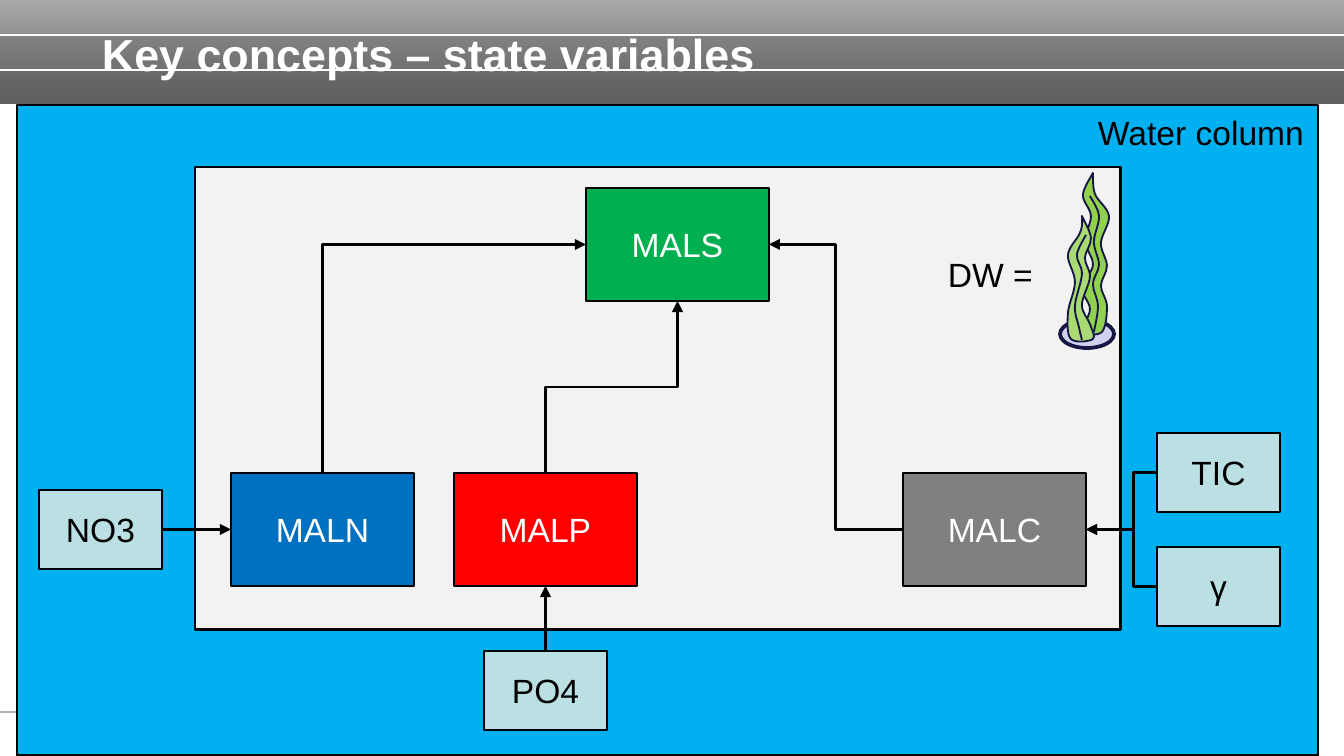
from dataclasses import dataclass

from lxml import etree
from pptx import Presentation
from pptx.dml.color import RGBColor
from pptx.enum.shapes import MSO_CONNECTOR, MSO_SHAPE
from pptx.enum.text import MSO_ANCHOR, PP_ALIGN
from pptx.oxml.ns import qn
from pptx.util import Emu, Pt

RECT, OVAL = MSO_SHAPE.RECTANGLE, MSO_SHAPE.OVAL
STRAIGHT, ELBOW = MSO_CONNECTOR.STRAIGHT, MSO_CONNECTOR.ELBOW
TOP, MIDDLE = MSO_ANCHOR.TOP, MSO_ANCHOR.MIDDLE
LEFT, CENTER, RIGHT = PP_ALIGN.LEFT, PP_ALIGN.CENTER, PP_ALIGN.RIGHT
N, W, S, E = range(4)  # connection sites of a rectangle
PX = 914400 / 134.4


@dataclass(frozen=True)
class Theme:
    font: str = "Arial"
    title: int = 24
    body: int = 18
    white: str = "FFFFFF"
    black: str = "000000"
    light: str = "B2B2B2"
    dark: str = "5F5F5F"
    water: str = "00B0F0"
    plant: str = "F2F2F2"
    nutrient: str = "BBE0E3"
    nitrogen: str = "0070C0"
    phosphorus: str = "FF0000"
    carbon: str = "808080"
    structure: str = "00B050"
    back_leaf: str = "92D050"
    front_leaf: str = "A9DA74"
    base: str = "D1D1F0"
    ink: str = "171745"


T = Theme()


def emu(px):
    return Emu(round(px * PX))


def rgb(value):
    return RGBColor.from_string(value)


def write(sp, text, size=T.body, color=T.black, bold=False, align=CENTER,
          anchor=MIDDLE, insets=(0, 0, 0, 0)):
    tf = sp.text_frame
    tf.word_wrap = True
    tf.vertical_anchor = anchor
    tf.margin_left, tf.margin_top, tf.margin_right, tf.margin_bottom = map(emu, insets)
    p = tf.paragraphs[0]
    p.alignment = align
    r = p.add_run()
    r.text = text
    r.font.name, r.font.size, r.font.bold = T.font, Pt(size), bold
    r.font.color.rgb = rgb(color)


def paint(sp, fill=None, line=None, width=1.5):
    sp.shadow.inherit = False
    if fill:
        sp.fill.solid()
        sp.fill.fore_color.rgb = rgb(fill)
    else:
        sp.fill.background()
    if line:
        sp.line.color.rgb = rgb(line)
        sp.line.width = Pt(width)
    else:
        sp.line.fill.background()


def add_box(slide, box, fill, line=T.black, width=1.5, kind=RECT):
    sp = slide.shapes.add_shape(kind, *map(emu, box))
    paint(sp, fill, line, width)
    return sp


def add_line(slide, start, end, color=T.black, width=1.5, kind=STRAIGHT):
    c = slide.shapes.add_connector(kind, *map(emu, (*start, *end)))
    c.line.color.rgb = rgb(color)
    c.line.width = Pt(width)
    etree.SubElement(c._element.spPr, qn("a:effectLst"))
    return c


def add_arrow(slide, source, out, target, into, kind=STRAIGHT, bend=None):
    c = add_line(slide, (0, 0), (0, 0), kind=kind)
    c.begin_connect(source, out)
    c.end_connect(target, into)
    sp_pr = c._element.spPr
    etree.SubElement(sp_pr.find(qn("a:ln")), qn("a:tailEnd"), type="triangle")
    if bend:
        guides = sp_pr.find(qn("a:prstGeom")).get_or_add_avLst()
        etree.SubElement(guides, qn("a:gd"), name="adj1", fmla=f"val {bend}")
    return c


def add_rising_arrow(slide, source, target, into, preset):
    """Elbow that leaves the top of source, heading up and to the right."""
    c = add_arrow(slide, source, N, target, into, ELBOW)
    mid_x, mid_y = c.left + c.width // 2, c.top + c.height // 2
    c.width, c.height = c.height, c.width
    c.left, c.top = mid_x - c.width // 2, mid_y - c.height // 2
    xfrm = c._element.spPr.find(qn("a:xfrm"))
    for flip in ("flipH", "flipV"):
        xfrm.attrib.pop(flip, None)
    xfrm.set("rot", "16200000")
    c._element.spPr.find(qn("a:prstGeom")).set("prst", preset)


def add_curve(slide, origin, knots, fill=None):
    """Smooth outline through the knots; a filled one is closed."""
    knots = knots + knots[:1] if fill else knots
    path = [(emu(origin[0] + x), emu(origin[1] + y)) for x, y in knots]
    builder = slide.shapes.build_freeform(*path[0], scale=1.0)
    builder.add_line_segments(path[1:], close=bool(fill))
    sp = builder.convert_to_shape()
    paint(sp, fill, T.ink, 1)
    # Turn each straight segment into a Bézier with tangents from its neighbours
    local = [(x - sp.left, y - sp.top) for x, y in path]
    ends = [local[0], *local, local[-1]]
    segments = list(sp._element.spPr.iter(qn("a:lnTo")))
    for seg, a, b, c, d in zip(segments, ends, ends[1:], ends[2:], ends[3:]):
        curve = etree.Element(qn("a:cubicBezTo"))
        controls = ([q + (r - p) / 6 for p, q, r in zip(a, b, c)],
                    [r - (s - q) / 6 for q, r, s in zip(b, c, d)], c)
        for x, y in controls:
            etree.SubElement(curve, qn("a:pt"), x=str(round(x)), y=str(round(y)))
        seg.getparent().replace(seg, curve)


def add_header(slide, box, title):
    x, y, w, h = box
    # Shaded background
    bar = add_box(slide, box, T.dark, None)
    bar.fill.gradient()
    bar.fill.gradient_angle = 270
    for stop, color in zip(bar.fill.gradient_stops, (T.light, T.dark)):
        stop.color.rgb = rgb(color)
    # Translucent bands and their rules
    band = h // 3
    for i, alpha in enumerate((10, 35, 60)):
        sp = add_box(slide, (x, y + i * band, w, band), T.dark, None)
        color = sp._element.spPr.find(qn("a:solidFill"))[0]
        etree.SubElement(color, qn("a:alpha"), val=str(alpha * 1000))
    for i in (1, 2, 3):
        add_line(slide, (x, y + i * band), (x + w, y + i * band), T.white, 0.75)
    # Title
    tb = slide.shapes.add_textbox(*map(emu, (x + 102, y + 20, w - 140, 67)))
    write(tb, title, T.title, T.white, True, LEFT, insets=(0, 7, 0, 7))


def add_seaweed(slide, box):
    x, y, w, h = box
    add_box(slide, (x, y + h - 28, w, 28), T.base, T.ink, 2, OVAL)
    # Back leaf and its vein
    add_curve(slide, (x, y), [
        (33, 0), (23, 22), (31, 43), (25, 68), (33, 92), (22, 115), (30, 136), (23, 158),
        (42, 159), (47, 133), (41, 113), (47, 93), (41, 70), (49, 43), (35, 21)], T.back_leaf)
    add_curve(slide, (x, y), [
        (30, 23), (39, 43), (34, 69), (39, 92), (33, 111), (38, 133), (34, 159)])
    # Front leaf and its vein
    add_curve(slide, (x, y), [
        (22, 43), (31, 65), (25, 85), (30, 104), (22, 132), (30, 151), (33, 166),
        (11, 166), (8, 140), (15, 109), (8, 82), (19, 62), (22, 53)], T.front_leaf)
    add_curve(slide, (x, y), [(26, 62), (17, 82), (22, 101), (15, 133), (19, 154), (22, 167)])


def add_diagram(slide, box):
    x, y, w, h = box
    # Water column and plant
    water = add_box(slide, box, T.water)
    write(water, "Water column", align=RIGHT, anchor=TOP, insets=(14, 7, 14, 7))
    plant = add_box(slide, (x + 178, y + 62, 926, 463), T.plant)
    write(plant, "DW =", align=RIGHT, anchor=TOP, insets=(14, 87, 88, 7))

    # State variables and external nutrients
    nodes = {}
    for size, ink, width, items in (
        ((183, 113), T.white, 1.25, (
            ("MALN", 214, 368, T.nitrogen), ("MALP", 437, 368, T.phosphorus),
            ("MALC", 886, 368, T.carbon), ("MALS", 569, 83, T.structure))),
        ((123, 79), T.black, 1.5, (
            ("TIC", 1140, 328, T.nutrient), ("γ", 1140, 442, T.nutrient),
            ("NO3", 22, 385, T.nutrient), ("PO4", 467, 546, T.nutrient))),
    ):
        for name, dx, dy, fill in items:
            nodes[name] = add_box(slide, (x + dx, y + dy, *size), fill, width=width)
            write(nodes[name], name, color=ink)

    # Flows
    add_arrow(slide, nodes["MALC"], W, nodes["MALS"], E, ELBOW)
    add_rising_arrow(slide, nodes["MALP"], nodes["MALS"], S, "bentConnector3")
    add_rising_arrow(slide, nodes["MALN"], nodes["MALS"], W, "bentConnector2")
    add_arrow(slide, nodes["PO4"], N, nodes["MALP"], S)
    add_arrow(slide, nodes["NO3"], E, nodes["MALN"], W)
    for name in ("TIC", "γ"):
        add_arrow(slide, nodes[name], W, nodes["MALC"], E, ELBOW, bend=33100)
    add_seaweed(slide, (x + 1043, y + 68, 54, 175))


def main():
    prs = Presentation()
    prs.slide_width, prs.slide_height = emu(1344), emu(756)
    slide = prs.slides.add_slide(prs.slide_layouts[6])
    add_header(slide, (0, 0, 1344, 105), "Key concepts – state variables")
    add_line(slide, (1094, 712), (0, 712), T.light, 0.75)  # footer rule
    add_diagram(slide, (17, 105, 1301, 651))
    prs.save("out.pptx")


if __name__ == "__main__":
    main()
